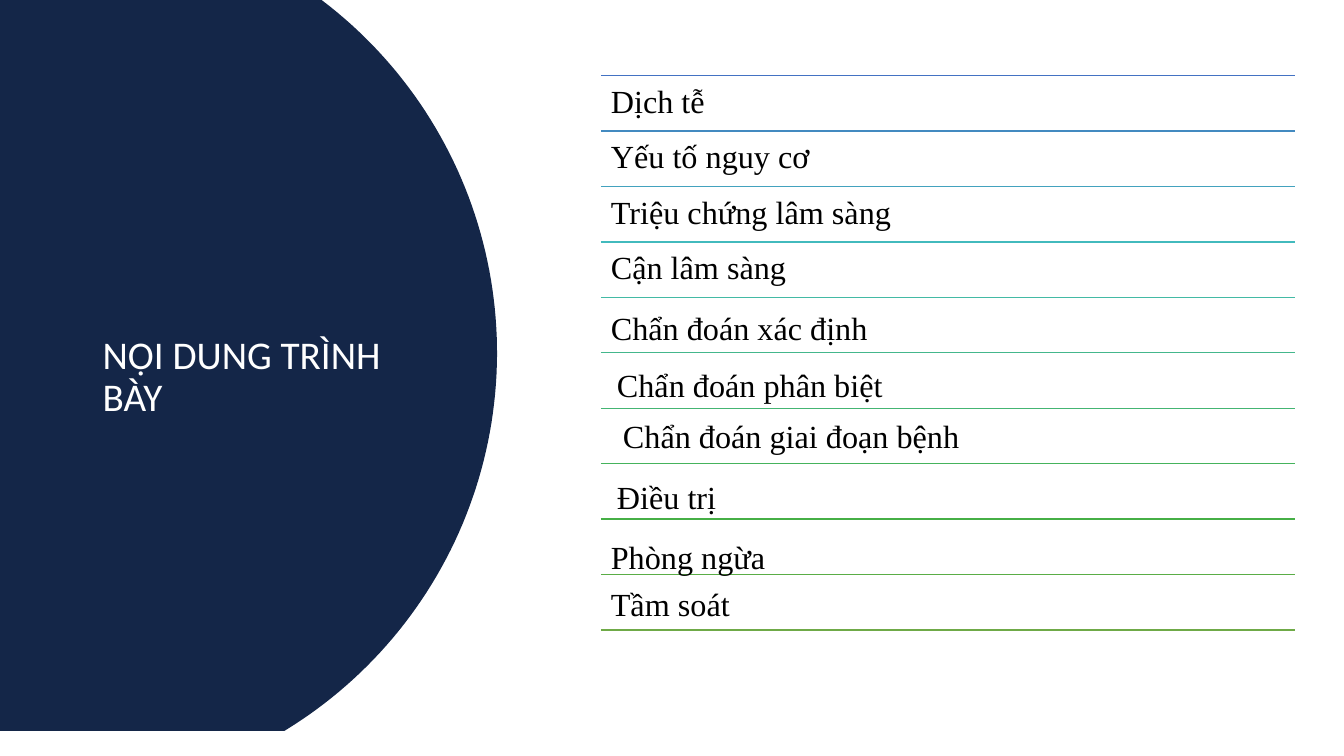
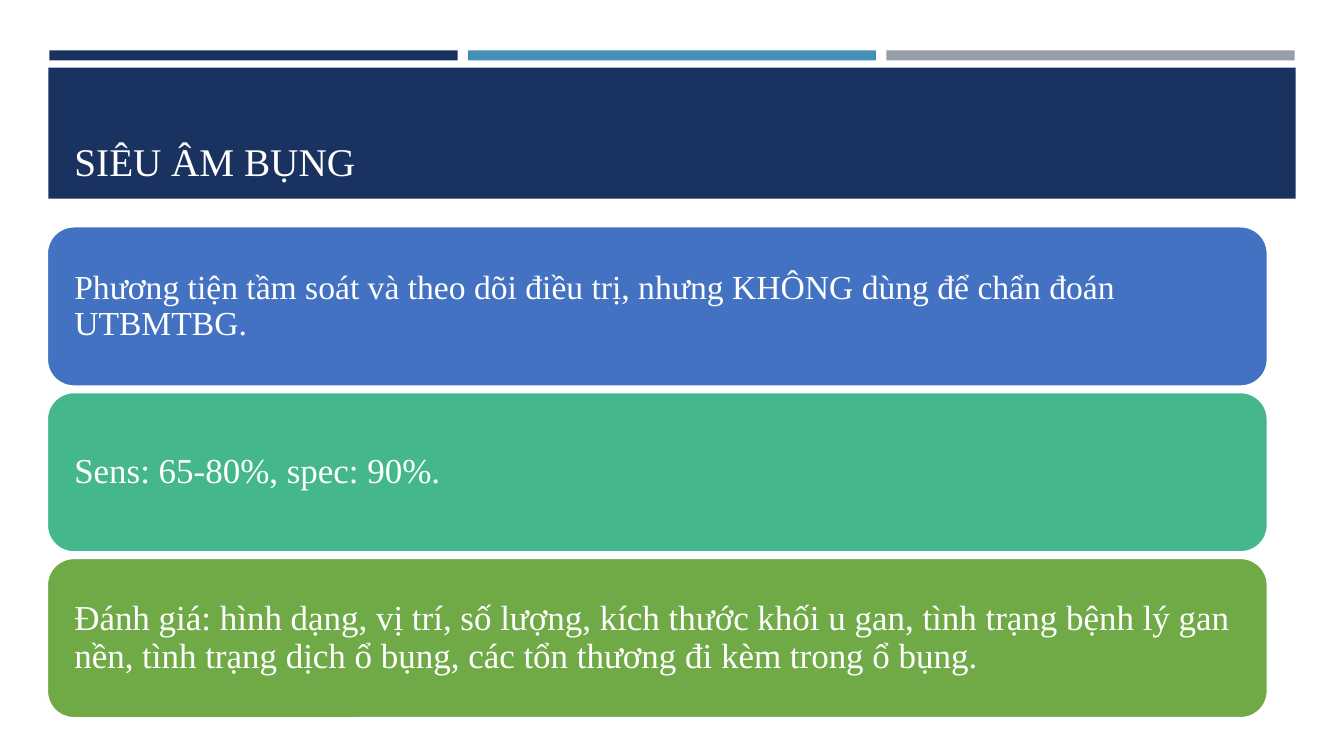
from math import asin, cos, sin

from lxml.etree import SubElement
from pptx import Presentation
from pptx.dml.color import RGBColor
from pptx.enum.shapes import MSO_CONNECTOR as Connector, MSO_SHAPE as Shape
from pptx.enum.text import MSO_ANCHOR as Anchor, PP_ALIGN as Align
from pptx.oxml.ns import qn
from pptx.util import Inches, Pt

SLIDE_WIDTH, SLIDE_HEIGHT = 13.33, 7.5
NAVY, DARK_NAVY, BLUE, GRAY = "1A3260", "142648", "4590B8", "969FA7"
WHITE, BLACK = "FFFFFF", "000000"
SERIF, SANS = "Times New Roman", "Calibri"
TITLE_SIZE = 28

RULE_LEFT, RULE_RIGHT = 5.96, 12.84
RULE_TOP, RULE_STEP = 0.75, 0.55
RULE_COLORS = [
    "4372C3", "438AC0", "43A2BE", "42BABD", "43BAA5", "44B78C",
    "44B573", "45B35C", "46AF46", "5AAD46", "6FAA47",
]
# Text, left and top of each agenda entry
TOPICS = [
    ("Dịch tễ", 5.96, 0.75),
    ("Yếu tố nguy cơ", 5.96, 1.3),
    ("Triệu chứng lâm sàng", 5.96, 1.85),
    ("Cận lâm sàng", 5.96, 2.4),
    ("Chẩn đoán xác định", 5.96, 3),
    ("Chẩn đoán phân biệt", 6.02, 3.57),
    ("Chẩn đoán giai đoạn bệnh", 6.08, 4.07),
    ("Điều trị", 6.02, 4.68),
    ("Phòng ngừa", 5.96, 5.27),
    ("Tầm soát", 5.96, 5.74),
]

CARD_TOP, CARD_STEP = 2.25, 1.645
# Text, font size and fill of each card
CARDS = [
    ("Phương tiện tầm soát và theo dõi điều trị, nhưng KHÔNG dùng để chẩn đoán "
     "UTBMTBG.", 24, "4372C3"),
    ("Sens: 65-80%, spec: 90%.", 25, "44B78C"),
    ("Đánh giá: hình dạng, vị trí, số lượng, kích thước khối u gan, tình trạng "
     "bệnh lý gan nền, tình trạng dịch ổ bụng, các tổn thương đi kèm trong ổ bụng.",
     25, "6FAA47"),
]


def rgb(color):
    return RGBColor.from_string(color)


def paint(shape, fill, line=None):
    """Give a shape a flat fill, an optional 1 pt outline and no shadow."""
    shape.shadow.inherit = False
    shape.fill.solid()
    shape.fill.fore_color.rgb = rgb(fill)
    if line:
        shape.line.color.rgb = rgb(line)
        shape.line.width = Pt(1)
    else:
        shape.line.fill.background()


def write(shape, text, size, color, font=SERIF, anchor=Anchor.TOP,
          side=0.1, edge=0.1, spacing=0.9):
    """Set one paragraph; side and edge are the insets across and down."""
    frame = shape.text_frame
    frame.word_wrap = True
    frame.vertical_anchor = anchor
    frame.margin_left = frame.margin_right = Inches(side)
    frame.margin_top = frame.margin_bottom = Inches(edge)
    paragraph = frame.paragraphs[0]
    paragraph.alignment = Align.LEFT
    paragraph.line_spacing = spacing
    run = paragraph.add_run()
    run.text = text
    run.font.name = font
    run.font.size = Pt(size)
    run.font.color.rgb = rgb(color)


def add_box(slide, kind, left, top, width, height, fill, line=None):
    shape = slide.shapes.add_shape(
        kind, Inches(left), Inches(top), Inches(width), Inches(height))
    paint(shape, fill, line)
    return shape


def add_text(slide, text, left, top, width, height, size, color, **style):
    box = slide.shapes.add_textbox(
        Inches(left), Inches(top), Inches(width), Inches(height))
    write(box, text, size, color, **style)


def add_title(slide, text, left, top, width, height, **style):
    add_text(slide, text, left, top, width, height, TITLE_SIZE, WHITE,
             edge=0.05, **style)


def add_rule(slide, top, color):
    rule = slide.shapes.add_connector(
        Connector.STRAIGHT, Inches(RULE_LEFT), Inches(top),
        Inches(RULE_RIGHT), Inches(top))
    rule.line.color.rgb = rgb(color)
    rule.line.width = Pt(1)
    SubElement(rule._element.spPr, qn("a:effectLst"))


def add_round_panel(slide):
    """Draw the left panel, bounded on the right by a circular arc."""
    center_x, center_y, radius, bottom = 0.54, 3.5, 4.39, 7.25
    start = -asin(center_y / radius)
    end = asin((bottom - center_y) / radius)
    steps = 90
    angles = [start + (end - start) * step / steps for step in range(steps + 1)]
    arc = [(Inches(center_x + radius * cos(angle)),
            Inches(center_y + radius * sin(angle))) for angle in angles]
    builder = slide.shapes.build_freeform(0, 0)
    builder.add_line_segments(arc + [(0, Inches(bottom))], close=True)
    paint(builder.convert_to_shape(), DARK_NAVY)


def add_header(slide, title):
    for index, color in enumerate([NAVY, BLUE, GRAY]):
        add_box(slide, Shape.RECTANGLE, 0.49 + 4.15 * index, 0.5, 4.05, 0.1, color)
    add_box(slide, Shape.RECTANGLE, 0.48, 0.67, 12.37, 1.3, NAVY)
    add_title(slide, title, 0.64, 0.77, 12.06, 1.11,
              anchor=Anchor.BOTTOM, spacing=1.0)


def add_card(slide, top, text, size, fill):
    card = add_box(slide, Shape.ROUNDED_RECTANGLE, 0.47, top, 12.1, 1.58, fill, WHITE)
    card.adjustments[0] = 0.167
    write(card, text, size, WHITE, anchor=Anchor.MIDDLE, side=0.19)


def build_agenda(slide):
    add_round_panel(slide)
    add_title(slide, "NỘI DUNG TRÌNH BÀY", 0.92, 0.7, 3.23, 6.09,
              font=SANS, anchor=Anchor.MIDDLE)
    for index, color in enumerate(RULE_COLORS):
        add_rule(slide, RULE_TOP + RULE_STEP * index, color)
    for text, left, top in TOPICS:
        add_text(slide, text, left, top, RULE_RIGHT - RULE_LEFT, RULE_STEP, 23, BLACK)


def build_ultrasound(slide):
    add_header(slide, "SIÊU ÂM BỤNG")
    for index, card in enumerate(CARDS):
        add_card(slide, CARD_TOP + CARD_STEP * index, *card)


def main():
    presentation = Presentation()
    presentation.slide_width = Inches(SLIDE_WIDTH)
    presentation.slide_height = Inches(SLIDE_HEIGHT)
    blank = presentation.slide_layouts[6]
    for build in (build_agenda, build_ultrasound):
        build(presentation.slides.add_slide(blank))
    presentation.save("out.pptx")


if __name__ == "__main__":
    main()
